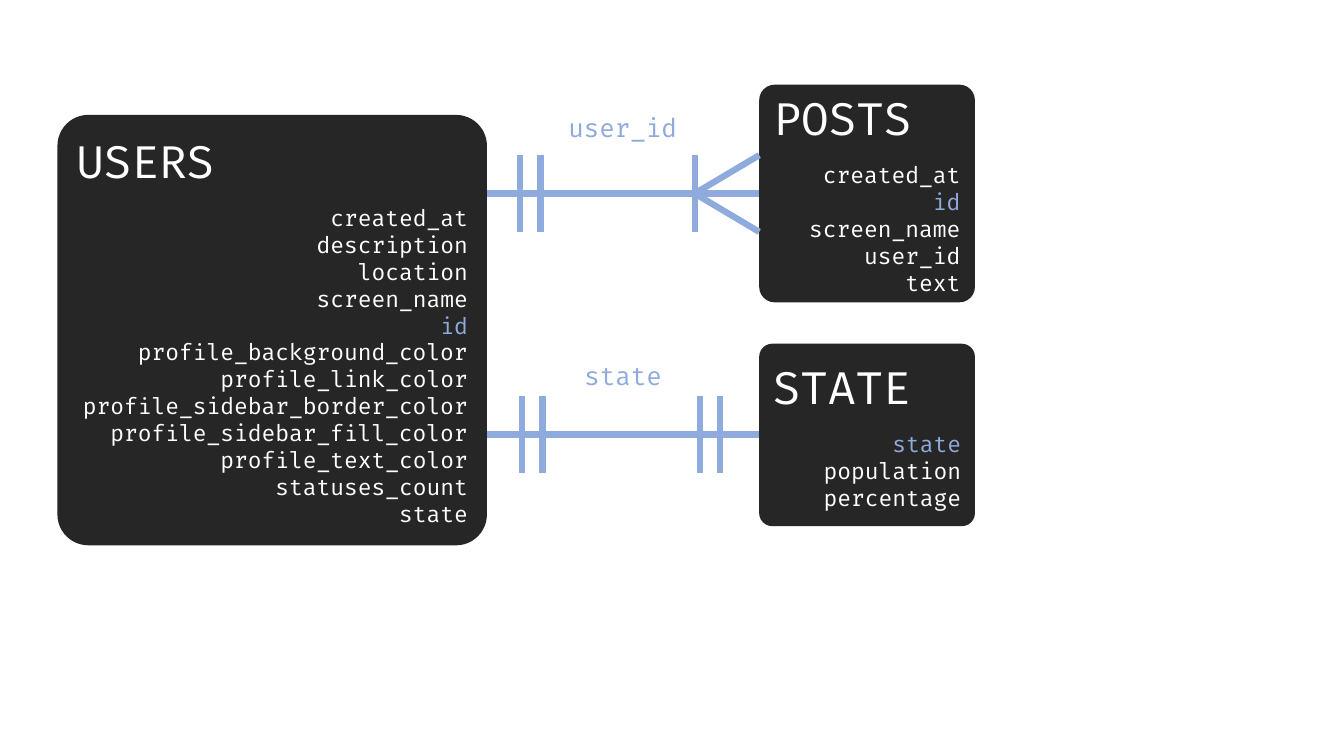
"""Entity-relationship slide: three tables joined by two keyed relations."""
import pptx
import pptx.util
import pptx.dml.color
import pptx.enum.shapes
import pptx.enum.text
import pptx.oxml
import pptx.oxml.ns

Inches = pptx.util.Inches
ALIGN = pptx.enum.text.PP_ALIGN
COLORS = {"entity": "262626", "text": "FFFFFF", "key": "8FAADC"}
FONT = "Fira Code"
TICK_REACH = 0.38
TICK_GAP = 0.2

ENTITIES = [
    # heading, box, key field, fields
    ("USERS", (0.57, 1.14, 4.26, 4.27), "id",
     ["created_at", "description", "location", "screen_name", "id",
      "profile_background_color", "profile_link_color",
      "profile_sidebar_border_color", "profile_sidebar_fill_color",
      "profile_text_color", "statuses_count", "state"]),
    ("POSTS", (7.53, 0.84, 2.14, 2.16), "id",
     ["created_at", "id", "screen_name", "user_id", "text"]),
    ("STATE", (7.53, 3.41, 2.14, 1.81), "state",
     ["state", "population", "percentage"]),
]


def rgb(color):
    """Return the named colour of the palette."""
    return pptx.dml.color.RGBColor.from_string(COLORS[color])


def write(paragraph, text, size, color, **formats):
    """Put one formatted run of text into a paragraph."""
    for attribute, value in formats.items():
        setattr(paragraph, attribute, value)
    run = paragraph.add_run()
    run.text = text
    for attribute, value in {"name": FONT, "size": pptx.util.Pt(size)}.items():
        setattr(run.font, attribute, value)
    run.font.color.rgb = rgb(color)


def add_entity(slide, box, heading, key, fields):
    """Draw a rounded table box with its heading and right-aligned fields."""
    entity = slide.shapes.add_shape(
        pptx.enum.shapes.MSO_SHAPE.ROUNDED_RECTANGLE, *map(Inches, box))
    entity.adjustments[0] = 0.072
    entity.shadow.inherit = False
    entity.fill.solid()
    entity.fill.fore_color.rgb = rgb("entity")
    entity.line.fill.background()
    frame = entity.text_frame
    frame.word_wrap = True
    frame.vertical_anchor = pptx.enum.text.MSO_ANCHOR.MIDDLE
    write(frame.paragraphs[0], heading, 32, "text",
          alignment=ALIGN.LEFT, space_after=pptx.util.Pt(12))
    for field in fields:
        write(frame.add_paragraph(), field, 16,
              "key" if field == key else "text", alignment=ALIGN.RIGHT)


def add_stroke(slide, start, end):
    """Draw one thick straight line between two points."""
    stroke = slide.shapes.add_connector(
        pptx.enum.shapes.MSO_CONNECTOR.STRAIGHT, *map(Inches, (*start, *end)))
    stroke.line.color.rgb = rgb("key")
    stroke.line.width = pptx.util.Pt(4.5)
    properties = stroke._element.spPr
    properties.append(
        pptx.oxml.parse_xml(f'<a:effectLst {pptx.oxml.ns.nsdecls("a")}/>'))


def add_relation(slide, box, label, label_box, ticks, crow_foot=None):
    """Draw a relation across a box: its line, ticks, label and crow's foot."""
    left, top, width, height = box
    right, middle = left + width, top + height / 2
    add_stroke(slide, (left, middle), (right, middle))
    for offset in ticks:
        add_stroke(slide, (left + offset, top), (left + offset, top + height))
    if crow_foot is not None:
        for toe in (top, top + height):
            add_stroke(slide, (right, toe), (left + crow_foot, middle))

    caption = slide.shapes.add_textbox(*map(Inches, label_box)).text_frame
    caption.word_wrap = False
    caption.auto_size = pptx.enum.text.MSO_AUTO_SIZE.SHAPE_TO_FIT_TEXT
    write(caption.paragraphs[0], label, 18, "key", alignment=ALIGN.CENTER)


def build_schema(slide):
    """Place the entities and the relations that link them."""
    for heading, box, key, fields in ENTITIES:
        add_entity(slide, box, heading, key, fields)

    users_box, posts_box = ENTITIES[0][1], ENTITIES[1][1]
    left = users_box[0] + users_box[2]
    width = posts_box[0] - left
    height = 2 * TICK_REACH
    one_user, many_posts = 0.33, 2.06
    add_relation(slide, (left, 1.54, width, height),
                 "user_id", (5.53, 1.07, 1.29, 0.4),
                 [one_user, one_user + TICK_GAP, many_posts], many_posts)
    one_user, one_state = 0.35, 2.11
    add_relation(slide, (left, 3.93, width, height),
                 "state", (5.69, 3.53, 0.98, 0.4),
                 [start + step for start in (one_user, one_state)
                  for step in (0, TICK_GAP)])


presentation = pptx.Presentation()
presentation.slide_width = Inches(13.33)
presentation.slide_height = Inches(7.5)
build_schema(presentation.slides.add_slide(presentation.slide_layouts[6]))
presentation.save("out.pptx")
